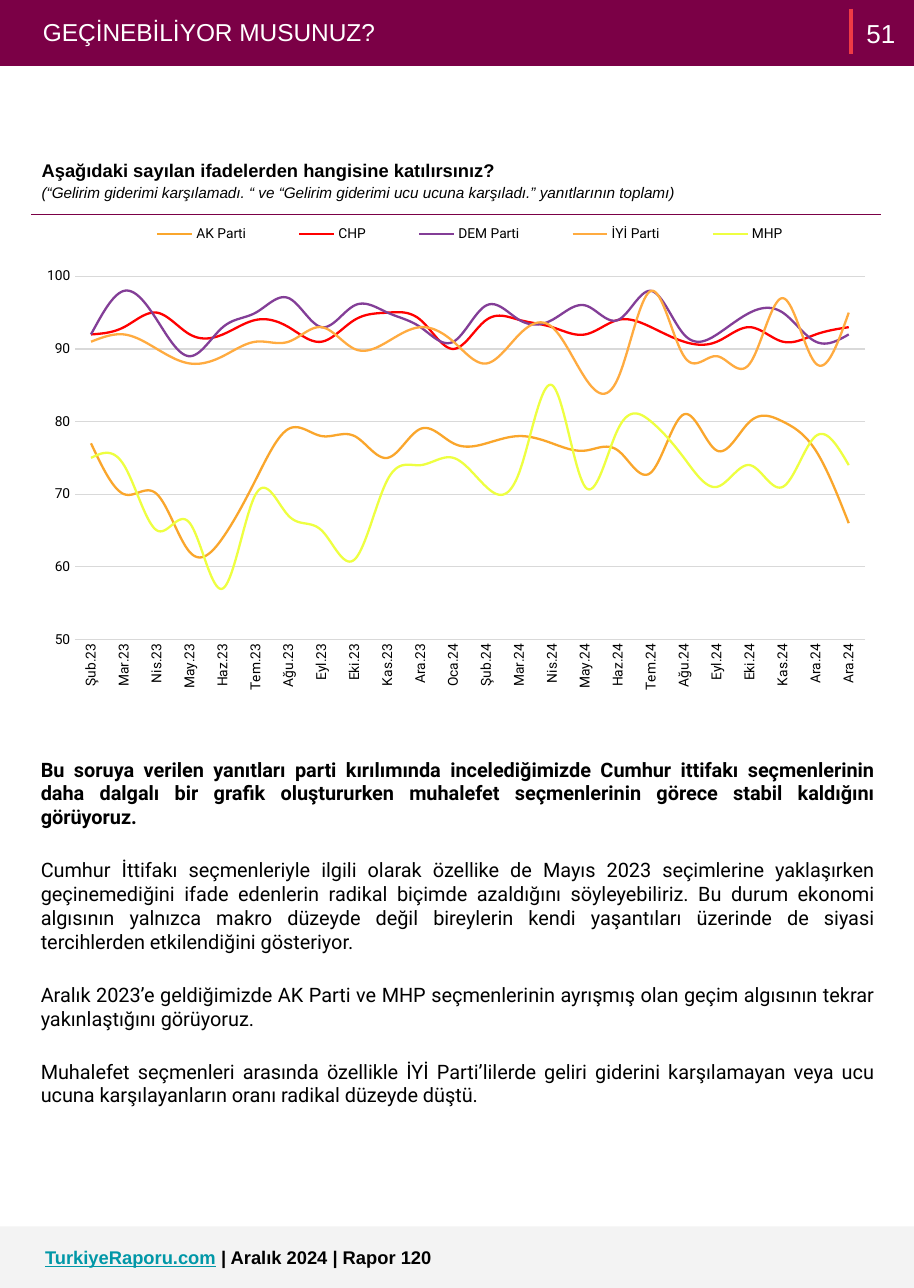
"""Build the report page on making ends meet, by party."""
from dataclasses import dataclass

from lxml.etree import SubElement
from pptx import Presentation
from pptx.chart.data import CategoryChartData
from pptx.dml.color import RGBColor
from pptx.enum.chart import XL_CHART_TYPE, XL_LEGEND_POSITION, XL_TICK_MARK
from pptx.enum.shapes import MSO_CONNECTOR, MSO_SHAPE
from pptx.enum.text import MSO_ANCHOR, MSO_AUTO_SIZE, PP_ALIGN
from pptx.oxml import parse_xml
from pptx.oxml.ns import nsdecls, qn
from pptx.util import Cm, Pt


@dataclass(frozen=True)
class Theme:
    plum: str = "7B0046"
    red: str = "EF3B45"
    teal: str = "0097A7"
    pale: str = "F3F3F3"
    grid: str = "D9D9D9"
    white: str = "FFFFFF"
    black: str = "000000"
    heading: str = "Arial"
    text: str = "Roboto"
    title_size: float = 16
    number_size: float = 17
    body_size: float = 13
    question_size: float = 12
    note_size: float = 10
    chart_size: float = 9


@dataclass(frozen=True)
class Box:
    left: float
    top: float
    width: float
    height: float

    def lengths(self) -> tuple:
        return Cm(self.left), Cm(self.top), Cm(self.width), Cm(self.height)


@dataclass(frozen=True)
class Party:
    name: str
    color: str
    shares: tuple


THEME = Theme()
PAGE_WIDTH, PAGE_HEIGHT = 21.08, 29.72
HEADER = Box(0, 0, PAGE_WIDTH, 1.52)
FOOTER = Box(0, 28.3, PAGE_WIDTH, 1.42)
MONTHS = ("Şub.23 Mar.23 Nis.23 May.23 Haz.23 Tem.23 Ağu.23 Eyl.23 Eki.23 Kas.23 Ara.23 Oca.24 "
          "Şub.24 Mar.24 Nis.24 May.24 Haz.24 Tem.24 Ağu.24 Eyl.24 Eki.24 Kas.24 Ara.24 Ara.24").split()
PARTIES = (
    Party("AK Parti", "FAA62C", (77, 70, 70, 62, 64, 72, 79, 78, 78, 75, 79, 77,
                                 77, 78, 77, 76, 76, 73, 81, 76, 80, 80, 76, 66)),
    Party("CHP", "FF0000", (92, 93, 95, 92, 92, 94, 93, 91, 94, 95, 94, 90,
                            94, 94, 93, 92, 94, 93, 91, 91, 93, 91, 92, 93)),
    Party("DEM Parti", "833E97", (92, 98, 94, 89, 93, 95, 97, 93, 96, 95, 93, 91,
                                  96, 94, 94, 96, 94, 98, 92, 92, 95, 95, 91, 92)),
    Party("İYİ Parti", "FFAB40", (91, 92, 90, 88, 89, 91, 91, 93, 90, 91, 93, 91,
                                  88, 92, 93, 86, 86, 98, 89, 89, 88, 97, 88, 95)),
    Party("MHP", "EEFF41", (75, 74, 65, 66, 57, 70, 67, 65, 61, 72, 74, 75,
                            71, 73, 85, 71, 79, 80, 75, 71, 74, 71, 78, 74)),
)
FINDINGS = (
    "Bu soruya verilen yanıtları parti kırılımında incelediğimizde Cumhur ittifakı seçmenlerinin daha dalgalı bir grafik oluştururken muhalefet seçmenlerinin görece stabil kaldığını görüyoruz.",
    "Cumhur İttifakı seçmenleriyle ilgili olarak özellike de Mayıs 2023 seçimlerine yaklaşırken geçinemediğini ifade edenlerin radikal biçimde azaldığını söyleyebiliriz. Bu durum ekonomi algısının yalnızca makro düzeyde değil bireylerin kendi yaşantıları üzerinde de siyasi tercihlerden etkilendiğini gösteriyor.",
    "Aralık 2023’e geldiğimizde AK Parti ve MHP seçmenlerinin ayrışmış olan geçim algısının tekrar yakınlaştığını görüyoruz.",
    "Muhalefet seçmenleri arasında özellikle İYİ Parti’lilerde geliri giderini karşılamayan veya ucu ucuna karşılayanların oranı radikal düzeyde düştü.",
)


def rgb(color: str) -> RGBColor:
    return RGBColor.from_string(color)


def style_font(font, size: float, color: str = THEME.black, face: str = THEME.heading,
               bold: bool = False, italic: bool = False, underline: bool = False) -> None:
    font.size, font.name = Pt(size), face
    font.bold, font.italic, font.underline = bold, italic, underline
    font.color.rgb = rgb(color)


def write(paragraph, text: str, align=PP_ALIGN.LEFT, before: float = 0,
          spacing: float = 1.0, **font_format) -> None:
    paragraph.alignment = align
    paragraph.space_before = Pt(before)
    paragraph.line_spacing = spacing
    run = paragraph.add_run()
    run.text = text
    style_font(run.font, **font_format)


def prepare(holder, box: Box, anchor=MSO_ANCHOR.TOP):
    holder.left, holder.top, holder.width, holder.height = box.lengths()
    frame = holder.text_frame
    frame.word_wrap, frame.auto_size = True, MSO_AUTO_SIZE.NONE
    frame.vertical_anchor = anchor
    frame.margin_left = frame.margin_right = frame.margin_top = frame.margin_bottom = Cm(0.25)
    return frame


def add_band(slide, box: Box, color: str) -> None:
    band = slide.shapes.add_shape(MSO_SHAPE.RECTANGLE, *box.lengths())
    band.shadow.inherit = False
    band.fill.solid()
    band.fill.fore_color.rgb = rgb(color)
    band.line.fill.background()
    slide.shapes.element.insert(2, band.element)


def add_header(slide) -> None:
    add_band(slide, HEADER, THEME.plum)
    title = prepare(slide.shapes.title, Box(0.74, 0.15, 18.5, 1.19))
    write(title.paragraphs[0], "GEÇİNEBİLİYOR MUSUNUZ?", size=THEME.title_size, color=THEME.white)
    divider = slide.shapes.add_connector(MSO_CONNECTOR.STRAIGHT, Cm(19.63), Cm(0.2), Cm(19.63), Cm(1.24))
    divider.line.color.rgb = rgb(THEME.red)
    divider.line.width = Pt(2.25)
    SubElement(divider.element.spPr, qn("a:effectLst"))
    number_box = Box(19.63, 0, 1.37, HEADER.height)
    number = prepare(slide.shapes.add_textbox(*number_box.lengths()), number_box, MSO_ANCHOR.MIDDLE)
    write(number.paragraphs[0], "51", PP_ALIGN.CENTER, size=THEME.number_size, color=THEME.white)


def add_footer(slide) -> None:
    add_band(slide, FOOTER, THEME.pale)
    box = Box(0.79, 28.5, 17.68, 1.02)
    credit = prepare(slide.shapes.add_textbox(*box.lengths()), box).paragraphs[0]
    size = THEME.question_size
    write(credit, "TurkiyeRaporu.com", size=size, color=THEME.teal, bold=True, underline=True)
    write(credit, " | Aralık 2024 | Rapor 120", size=size, bold=True)


def add_question(slide) -> None:
    table = slide.shapes.add_table(1, 1, *Box(0.71, 3.4, 19.63, 1.55).lengths()).table
    table.first_row = table.horz_banding = False
    cell = table.cell(0, 0)
    cell.margin_left = cell.margin_right = cell.margin_top = cell.margin_bottom = Cm(0.25)
    cell.fill.background()
    borders = {"lnL": THEME.white, "lnR": THEME.white, "lnT": THEME.white, "lnB": THEME.plum}
    properties = cell._tc.get_or_add_tcPr()
    for place, (side, color) in enumerate(borders.items()):
        properties.insert(place, parse_xml(
            f'<a:{side} {nsdecls("a")} w="{Pt(0.75)}"><a:solidFill>'
            f'<a:srgbClr val="{color}"/></a:solidFill></a:{side}>'))
    frame = cell.text_frame
    write(frame.paragraphs[0], "Aşağıdaki sayılan ifadelerden hangisine katılırsınız?",
          spacing=1.15, size=THEME.question_size, bold=True)
    write(frame.add_paragraph(),
          "(“Gelirim giderimi karşılamadı. “ ve “Gelirim giderimi ucu ucuna karşıladı.” yanıtlarının toplamı)",
          spacing=1.15, size=THEME.note_size, italic=True)


def set_layout(parent, place: int, modes: dict, **fractions: float) -> None:
    for previous in parent.findall(qn("c:layout")):
        parent.remove(previous)
    layout = parse_xml(f'<c:layout {nsdecls("c")}><c:manualLayout/></c:layout>')
    for tag, value in {**modes, "xMode": "edge", "yMode": "edge", **fractions}.items():
        SubElement(layout[0], qn(f"c:{tag}")).set("val", str(value))
    parent.insert(place, layout)


def add_party_chart(slide) -> None:
    data = CategoryChartData()
    data.categories = MONTHS
    for party in PARTIES:
        data.add_series(party.name, party.shares)
    chart = slide.shapes.add_chart(XL_CHART_TYPE.LINE, *Box(0.74, 4.9, 19.61, 12.32).lengths(), data).chart
    style_font(chart.font, THEME.chart_size, face=THEME.text)
    chart.has_title = False
    chart.has_legend = True
    chart.legend.position = XL_LEGEND_POSITION.BOTTOM
    chart.legend.include_in_layout = False
    style_font(chart.legend.font, THEME.chart_size, face=THEME.text)
    chart.plots[0].vary_by_categories = False
    for series, party in zip(chart.plots[0].series, PARTIES):
        series.smooth = True
        series.format.line.color.rgb = rgb(party.color)
        series.format.line.width = Pt(1.5)
    months, shares = chart.category_axis, chart.value_axis
    for axis in (months, shares):
        axis.major_tick_mark = axis.minor_tick_mark = XL_TICK_MARK.NONE
        style_font(axis.tick_labels.font, THEME.chart_size, face=THEME.text)
    shares.minimum_scale, shares.maximum_scale, shares.major_unit = 50, 100, 10
    shares.format.line.fill.background()
    for line in (months.format.line, shares.major_gridlines.format.line):
        line.color.rgb = rgb(THEME.grid)
        line.width = Pt(0.75)
    chart.element.xpath("c:chart/c:plotArea/c:catAx/c:txPr/a:bodyPr")[0].set("rot", "-5400000")
    set_layout(chart.element.xpath("c:chart/c:plotArea")[0], 0, {"layoutTarget": "inner"},
               x=0.05, y=0.12, w=0.93, h=0.68)
    set_layout(chart.element.xpath("c:chart/c:legend")[0], 1, {}, x=0.09, y=0.01, w=0.85, h=0.06)


def add_findings(slide) -> None:
    frame = prepare(slide.placeholders[1], Box(0.69, 17.22, 19.71, 10.03))
    for place, finding in enumerate(FINDINGS):
        paragraph = frame.add_paragraph() if place else frame.paragraphs[0]
        properties = paragraph._p.get_or_add_pPr()
        properties.set("marL", "0")
        properties.set("indent", "0")
        SubElement(properties, qn("a:buNone"))
        write(paragraph, finding, PP_ALIGN.JUSTIFY, before=19 if place else 0,
              size=THEME.body_size, face=THEME.text, bold=place == 0)


def main() -> None:
    report = Presentation()
    report.slide_width, report.slide_height = Cm(PAGE_WIDTH), Cm(PAGE_HEIGHT)
    slide = report.slides.add_slide(report.slide_layouts[1])
    for add_part in (add_footer, add_header, add_question, add_findings, add_party_chart):
        add_part(slide)
    report.save("out.pptx")


if __name__ == "__main__":
    main()
